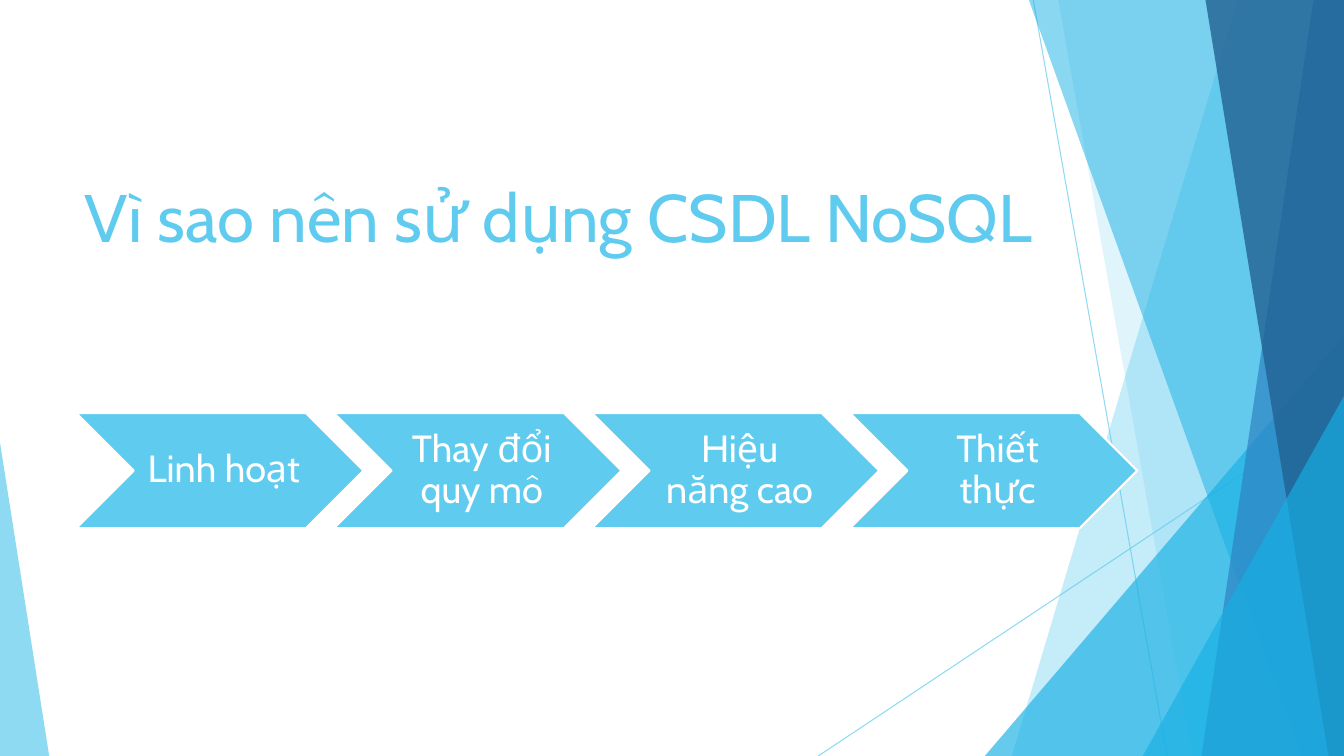
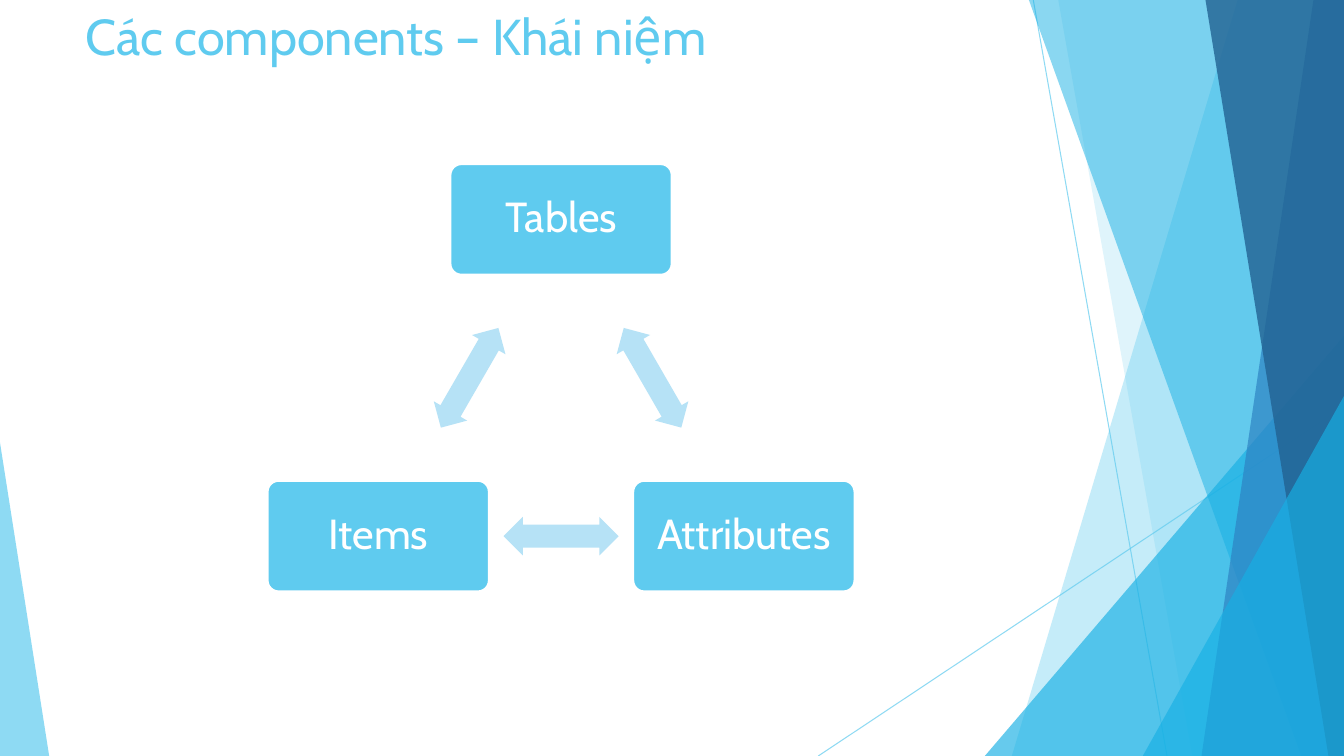
from math import cos, radians, sin

from lxml.etree import SubElement
from pptx import Presentation
from pptx.dml.color import RGBColor
from pptx.enum.shapes import MSO_CONNECTOR, MSO_SHAPE
from pptx.enum.text import MSO_ANCHOR, PP_ALIGN
from pptx.oxml.ns import qn
from pptx.util import Cm, Pt

SKY = RGBColor(0x5F, 0xCB, 0xEF)
CYAN = RGBColor(0x17, 0xB0, 0xE4)
BLUE = RGBColor(0x2E, 0x83, 0xC3)
NAVY = RGBColor(0x22, 0x62, 0x92)
PALE = RGBColor(0xB6, 0xE2, 0xF6)
WHITE = RGBColor(0xFF, 0xFF, 0xFF)

FONT = "Cabin"
WIDTH, HEIGHT = 33.87, 19.05

RAYS = [(26.04, 0, 29.41, HEIGHT), (WIDTH, 10.24, 20.62, HEIGHT)]
BACK_FACETS = [(31.19, 25.5, SKY, 36), (26.67, 30.05, SKY, 20)]
FRONT_FACETS = [
    (25.93, 32.79, CYAN, 50),
    (33.1, 30.28, BLUE, 70),
    (30.38, 33.48, NAVY, 80),
]


class Deck:
    """Holds the deck style and the page being drawn."""

    def __init__(self):
        self.deck = Presentation()
        self.deck.slide_width, self.deck.slide_height = Cm(WIDTH), Cm(HEIGHT)
        self.page = None

    def new_page(self, title, left, top, width, height, size):
        self.page = self.deck.slides.add_slide(self.deck.slide_layouts[6])
        self.backdrop()
        box = self.page.shapes.add_textbox(Cm(left), Cm(top), Cm(width), Cm(height))
        self.set_text(box, title, size, SKY, vertical_anchor=MSO_ANCHOR.TOP)

    def backdrop(self):
        for ray in RAYS:
            self.ray(*ray)
        for facet in BACK_FACETS:
            self.facet(*facet)
        self.corner(24.82, 8.46, WIDTH - 24.82, 1, CYAN, 66)
        for facet in FRONT_FACETS:
            self.facet(*facet)
        self.corner(28.8, 9.98, WIDTH - 28.8, 1, CYAN, 66)
        self.corner(0, 11.15, 1.24, 0, SKY, 70)

    def ray(self, *ends):
        line = self.page.shapes.add_connector(MSO_CONNECTOR.STRAIGHT, *map(Cm, ends))
        line.line.width = Pt(0.75)
        line.line.color.rgb = SKY
        self.fade(line, 70)
        SubElement(line.element.spPr, qn("a:effectLst"))

    def facet(self, top_x, bottom_x, color, opacity):
        outline = self.page.shapes.build_freeform(Cm(top_x), 0)
        corners = [(WIDTH, 0), (WIDTH, HEIGHT), (bottom_x, HEIGHT)]
        outline.add_line_segments([(Cm(x), Cm(y)) for x, y in corners])
        self.fade(self.paint(outline.convert_to_shape(), color), opacity)

    def corner(self, left, top, width, apex, color, opacity):
        bounds = (left, top, width, HEIGHT - top)
        self.fade(self.shape(MSO_SHAPE.ISOSCELES_TRIANGLE, bounds, color, [apex]), opacity)

    def shape(self, kind, bounds, color, adjustments=(), outline=None):
        shape = self.page.shapes.add_shape(kind, *map(Cm, bounds))
        for index, value in enumerate(adjustments):
            shape.adjustments[index] = value
        return self.paint(shape, color, outline)

    def paint(self, shape, color, outline=None):
        shape.shadow.inherit = False
        shape.fill.solid()
        shape.fill.fore_color.rgb = color
        if outline is None:
            shape.line.fill.background()
        else:
            shape.line.color.rgb = outline
            shape.line.width = Pt(1.5)
        return shape

    def fade(self, shape, opacity):
        for color in shape.element.xpath(".//a:srgbClr"):
            SubElement(color, qn("a:alpha")).set("val", str(opacity * 1000))

    def set_text(self, box, text, size, color, align=PP_ALIGN.LEFT, spacing=1.0, **frame_format):
        frame = box.text_frame
        para = frame.paragraphs[0]
        span = para.add_run()
        span.text = text
        formats = [
            (frame, {"word_wrap": True, **frame_format}),
            (para, {"alignment": align, "line_spacing": spacing}),
            (span.font, {"name": FONT, "size": Pt(size)}),
        ]
        for target, values in formats:
            for name, value in values.items():
                setattr(target, name, value)
        span.font.color.rgb = color

    def label(self, box, text, size, left_inset, inset):
        margins = {f"margin_{side}": Cm(inset) for side in ("top", "right", "bottom")}
        self.set_text(box, text, size, WHITE, PP_ALIGN.CENTER, 0.9,
                      vertical_anchor=MSO_ANCHOR.MIDDLE, margin_left=Cm(left_inset), **margins)

    def chevron(self, left, top, text):
        box = self.shape(MSO_SHAPE.CHEVRON, (left, top, 7.24, 2.9), SKY, outline=WHITE)
        self.label(box, text, 27, 0.3, 0.1)

    def card(self, center_x, center_y, text):
        width, height = 5.58, 2.79
        bounds = (center_x - width / 2, center_y - height / 2, width, height)
        box = self.shape(MSO_SHAPE.ROUNDED_RECTANGLE, bounds, SKY, [0.1], WHITE)
        self.label(box, text, 30, 0.3, 0.3)

    def double_arrow(self, center_x, center_y, rotation):
        width, height = 2.9, 0.97
        bounds = (center_x - width / 2, center_y - height / 2, width, height)
        arrow = self.shape(MSO_SHAPE.LEFT_RIGHT_ARROW, bounds, PALE, [0.6, 0.5])
        arrow.rotation = rotation

    def cycle(self, center_x, center_y, radius, names):
        step = 360 / len(names)
        angles = [radians(step * index - 90) for index in range(len(names))]
        points = [(center_x + radius * cos(a), center_y + radius * sin(a)) for a in angles]
        for index, (name, (x, y)) in enumerate(zip(names, points)):
            next_x, next_y = points[(index + 1) % len(points)]
            self.card(x, y, name)
            self.double_arrow((x + next_x) / 2, (y + next_y) / 2, step * (index + 0.5))


def main():
    deck = Deck()
    deck.new_page("Vì sao nên sử dụng CSDL NoSQL", 1.88, 4.29, 31.19, 2.72, 48)
    reasons = ["Linh hoạt", "Thay đổi quy mô", "Hiệu năng cao", "Thiết thực"]
    for index, reason in enumerate(reasons):
        deck.chevron(1.92 + 6.5 * index, 10.41, reason)

    deck.new_page("Các components – Khái niệm", 1.9, 0, 23.88, 1.93, 36)
    deck.cycle(14.14, 10.85, 5.32, ["Tables", "Attributes", "Items"])
    deck.deck.save("out.pptx")


if __name__ == "__main__":
    main()
